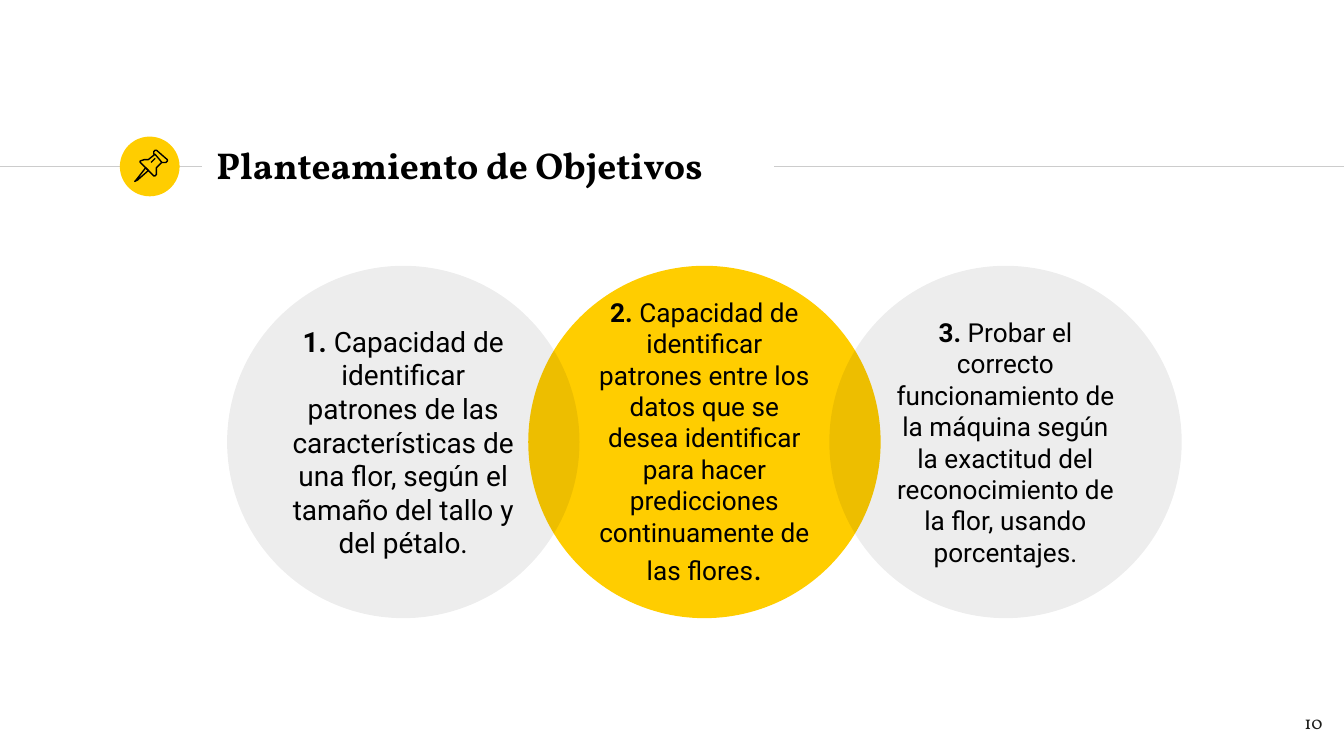
from lxml import etree
from pptx import Presentation
from pptx.dml.color import RGBColor
from pptx.enum.shapes import MSO_CONNECTOR, MSO_SHAPE
from pptx.enum.text import MSO_ANCHOR, MSO_AUTO_SIZE, PP_ALIGN
from pptx.oxml.ns import qn
from pptx.util import Pt

STRAIGHT = MSO_CONNECTOR.STRAIGHT
OVAL = MSO_SHAPE.OVAL
MIDDLE, TOP = MSO_ANCHOR.MIDDLE, MSO_ANCHOR.TOP
LEFT, CENTER, RIGHT = PP_ALIGN.LEFT, PP_ALIGN.CENTER, PP_ALIGN.RIGHT
NO_AUTOFIT = MSO_AUTO_SIZE.NONE

BODY_FONT, TITLE_FONT = "Roboto", "Vollkorn"
YELLOW, BLACK, RULE_GRAY, NUMBER_INK = "FFCD00", "000000", "CCCCCC", "1D1D1B"
INSET = 7.2
PIN_GRID = 44
PIN_OUTLINES = [
    ([(19, 23), (12, 32), (11, 33), (13, 32), (21, 25)], True),
    ([(26, 13), (31, 19), (34, 19), (35, 18), (35, 17), (27, 10), (26, 10),
      (25, 11), (25, 13)], True),
    ([(26, 13), (21, 17), (18, 17), (15, 18), (15, 19), (25, 29), (26, 29),
      (27, 28), (27, 23), (31, 19)], False),
    ([(23, 19), (26, 16)], False),
]
OBJECTIVES = [
    [("1. ", 15, True),
     ("Capacidad de identificar patrones de las características de una flor, "
      "según el tamaño del tallo y del pétalo.", 15, False)],
    [("2. ", 14, True),
     ("Capacidad de identificar patrones entre los datos que se desea identificar "
      "para hacer predicciones continuamente de las flores", 14, False),
     (".", 18, False)],
    [("3. ", 14, True),
     ("Probar el correcto funcionamiento de la máquina según la exactitud del "
      "reconocimiento de la flor, usando porcentajes.", 14, False)],
]


def color(hex_code):
    """Turn a hex string into a colour."""
    return RGBColor.from_string(hex_code)


def write_text(shape, spans, font, ink, align, anchor):
    """Fill a shape with one paragraph of (text, size, bold) spans."""
    frame = shape.text_frame
    frame.word_wrap = True
    frame.auto_size = NO_AUTOFIT
    frame.vertical_anchor = anchor
    frame.margin_left = frame.margin_right = Pt(INSET)
    frame.margin_top = frame.margin_bottom = Pt(INSET)
    para = frame.paragraphs[0]
    para.alignment = align
    for text, size, bold in spans:
        span = para.add_run()
        span.text = text
        span.font.name = font
        span.font.size = Pt(size)
        span.font.bold = bold
        span.font.color.rgb = color(ink)


def add_circle(page, left, top, diameter, fill, opacity=100):
    """Add a borderless circle, see-through when opacity is below 100."""
    circle = page.shapes.add_shape(OVAL, Pt(left), Pt(top), Pt(diameter), Pt(diameter))
    circle.shadow.inherit = False
    circle.fill.solid()
    circle.fill.fore_color.rgb = color(fill)
    circle.line.fill.background()
    if opacity < 100:
        tint = circle.fill._xPr.find(".//" + qn("a:srgbClr"))
        etree.SubElement(tint, qn("a:alpha"), val=str(opacity * 1000))
    return circle


def add_rule(page, start, end, y):
    """Add a thin horizontal rule."""
    rule = page.shapes.add_connector(STRAIGHT, Pt(start), Pt(y), Pt(end), Pt(y))
    rule.line.color.rgb = color(RULE_GRAY)
    rule.line.width = Pt(0.75)
    etree.SubElement(rule._element.spPr, qn("a:effectLst"))


def add_pin(page, left, top, size):
    """Draw the pushpin outlines inside a square box."""
    group = page.shapes.add_group_shape()
    for points, closed in PIN_OUTLINES:
        builder = group.shapes.build_freeform(*points[0], scale=Pt(size / PIN_GRID))
        builder.add_line_segments(points[1:], close=closed)
        outline = builder.convert_to_shape(Pt(left), Pt(top))
        outline.shadow.inherit = False
        outline.fill.background()
        outline.line.color.rgb = color(BLACK)
        outline.line.width = Pt(0.75)


def add_header(page, left, top, width, height):
    """Place the rules, the pin badge and the title in a full-width band."""
    middle = top + height / 2
    title_left, title_width, title_height = left + 108.7, 305.3, 34.6
    badge_left = left + 64.2
    add_rule(page, left, title_left - 0.7, middle)
    add_rule(page, title_left + title_width + 0.7, left + width, middle)
    add_circle(page, badge_left, top, height, YELLOW)
    add_pin(page, badge_left, top, height)
    title = page.shapes.title
    title.left, title.top = Pt(title_left), Pt(middle - 18.6)
    title.width, title.height = Pt(title_width), Pt(title_height)
    write_text(title, [("Planteamiento de Objetivos", 20, True)],
               TITLE_FONT, BLACK, LEFT, MIDDLE)


def add_objectives(page, left, top, width, height):
    """Spread three overlapping circles, the middle one at the back."""
    step = (width - height) / (len(OBJECTIVES) - 1)
    for index, fill, opacity in [(1, YELLOW, 100), (0, BLACK, 7), (2, BLACK, 7)]:
        circle = add_circle(page, left + index * step, top, height, fill, opacity)
        write_text(circle, OBJECTIVES[index], BODY_FONT, BLACK, CENTER, MIDDLE)


def add_page_number(page, left, top, width, height):
    """Write the page number against the right edge of its box."""
    box = page.shapes.add_textbox(Pt(left), Pt(top), Pt(width), Pt(height))
    write_text(box, [("10", 10, False)], TITLE_FONT, NUMBER_INK, RIGHT, TOP)


def main():
    """Build the deck and save it."""
    deck = Presentation()
    deck.slide_width, deck.slide_height = Pt(720), Pt(405)
    page = deck.slides.add_slide(deck.slide_layouts[5])
    add_header(page, 0, 73.2, 720, 32)
    add_objectives(page, 121.7, 142.4, 511.4, 188.8)
    add_page_number(page, 672.5, 373.7, 43.2, 31)
    deck.save("out.pptx")


if __name__ == "__main__":
    main()
